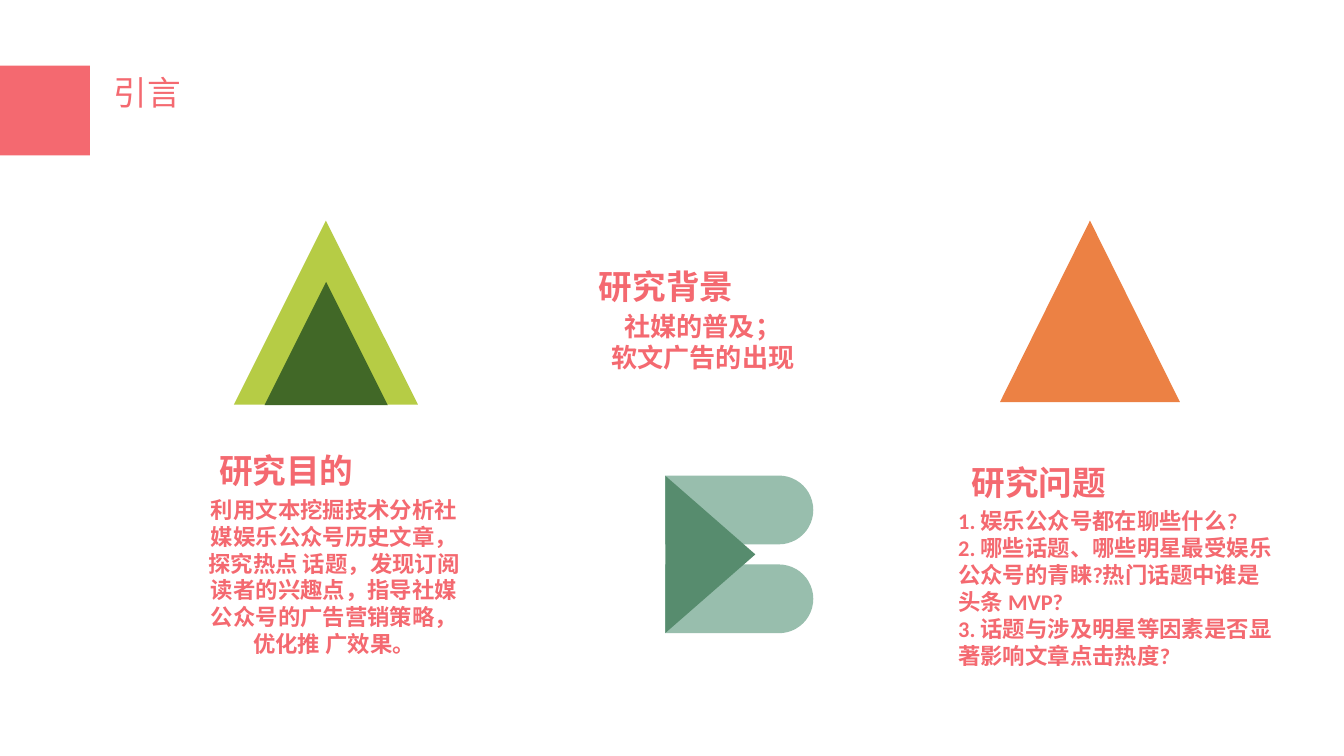
from pptx import Presentation
from pptx.dml.color import RGBColor
from pptx.enum.shapes import MSO_SHAPE
from pptx.enum.text import PP_ALIGN
from pptx.oxml.ns import qn
from pptx.util import Cm, Pt
from lxml import etree

RECT = MSO_SHAPE.RECTANGLE
PEAK = MSO_SHAPE.ISOSCELES_TRIANGLE
LOBE = MSO_SHAPE.ROUND_2_SAME_RECTANGLE
LEFT, MID = PP_ALIGN.LEFT, PP_ALIGN.CENTER
NOTO, BODY = "Noto Sans CJK SC", "Calibri"
PINK = "F46970"


def tint(text):
    return RGBColor.from_string(text)


prs = Presentation()
prs.slide_width, prs.slide_height = Cm(25.4), Cm(14.29)
slide = prs.slides.add_slide(prs.slide_layouts[6])

forms = [
    (RECT, 0, 1.24, 1.7, 1.7, 0, PINK),
    (PEAK, 4.42, 4.17, 3.48, 3.48, 0, "B6CC45"),
    (PEAK, 5, 5.33, 2.33, 2.33, 0, "416827"),
    (LOBE, 13.32, 9.92, 1.3, 2.8, 90, "98BEAD"),
    (LOBE, 13.32, 8.24, 1.3, 2.8, 90, "98BEAD"),
    (PEAK, 11.94, 9.63, 2.97, 1.7, 90, "578C6E"),
    (PEAK, 18.9, 4.17, 3.4, 3.43, 0, "EC8144"),
]
for kind, x, y, w, h, turn, fill in forms:
    form = slide.shapes.add_shape(kind, Cm(x), Cm(y), Cm(w), Cm(h))
    form.rotation = turn
    form.shadow.inherit = False
    form.fill.solid()
    form.fill.fore_color.rgb = tint(fill)
    form.line.fill.background()
    if kind == LOBE:
        form.adjustments[0] = 0.5

aim = "利用文本挖掘技术分析社媒娱乐公众号历史文章，探究热点 话题，发现订阅读者的兴趣点，指导社媒公众号的广告营销策略，优化推 广效果。"
asks = [
    "1. 娱乐公众号都在聊些什么?",
    "2. 哪些话题、哪些明星最受娱乐公众号的青睐?热门话题中谁是头条 MVP?",
    "3. 话题与涉及明星等因素是否显著影响文章点击热度?",
]
texts = [
    (1.9, 1.24, 4.39, 1.02, ["引言"], 18, NOTO, False, LEFT),
    (3.66, 9.25, 5.31, 3.3, [aim], 12, BODY, True, MID),
    (3.89, 8.38, 5.79, 1.02, ["研究目的"], 18, NOTO, True, LEFT),
    (10.82, 5.74, 4.93, 1.45, ["社媒的普及；", "软文广告的出现"], 14, BODY, True, MID),
    (11.07, 4.9, 5.79, 1.02, ["研究背景"], 18, NOTO, True, LEFT),
    (17.86, 9.47, 6.43, 3.81, asks, 12, BODY, True, LEFT),
    (18.11, 8.61, 5.79, 1.02, ["研究问题"], 18, NOTO, True, LEFT),
]
for x, y, w, h, lines, size, face, bold, align in texts:
    frame = slide.shapes.add_textbox(Cm(x), Cm(y), Cm(w), Cm(h)).text_frame
    frame.word_wrap = True
    frame.text = "\n".join(lines)
    for para in frame.paragraphs:
        para.alignment = align
        font = para.font
        font.size, font.bold, font.name = Pt(size), bold, face
        font.color.rgb = tint(PINK)
        props = para._p.pPr.find(qn("a:defRPr"))
        etree.SubElement(props, qn("a:ea")).set("typeface", face)

prs.save("out.pptx")
